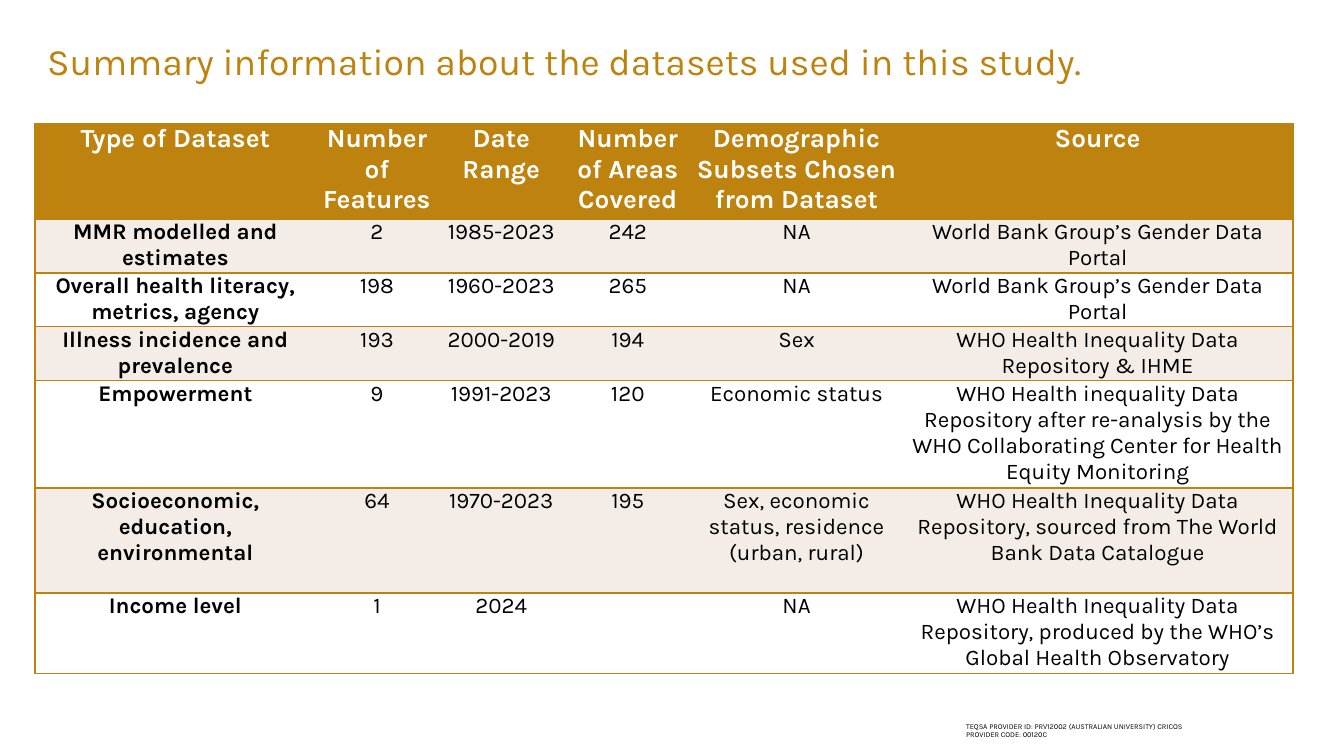
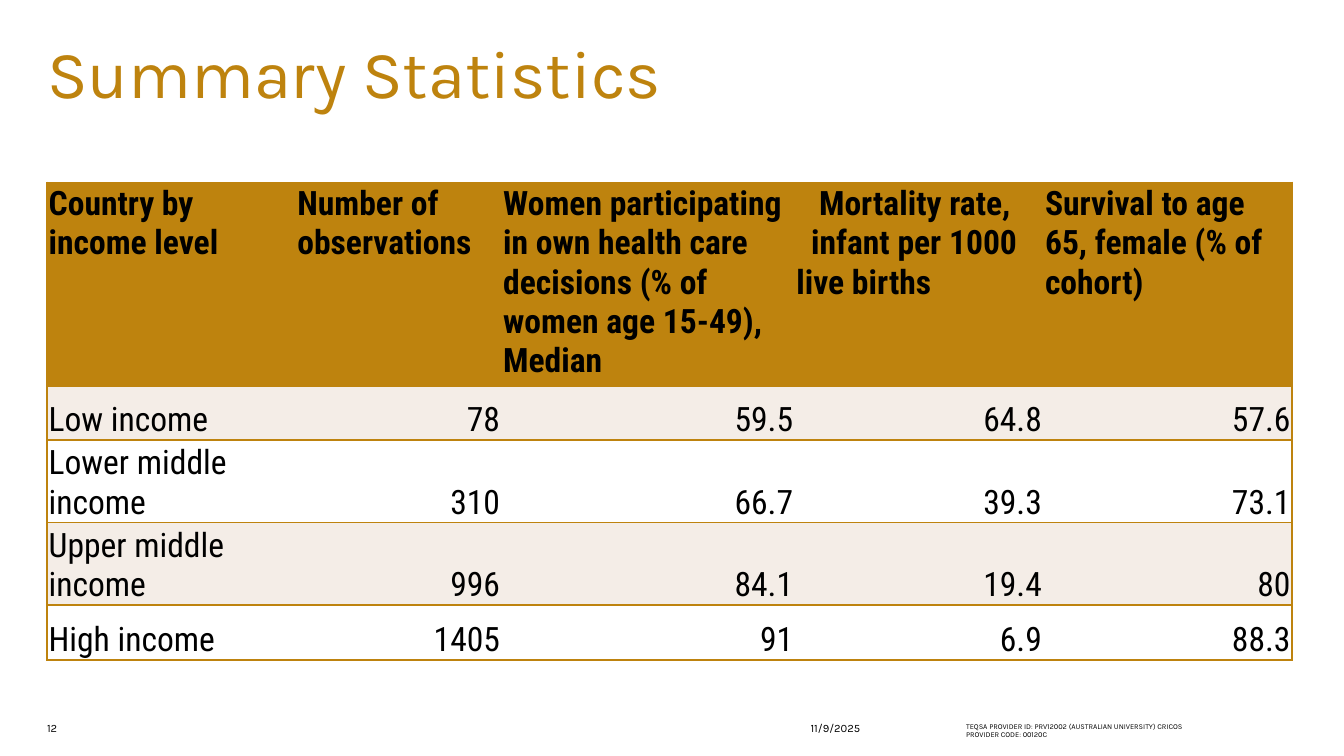
from lxml import etree
from pptx import Presentation
from pptx.dml.color import RGBColor
from pptx.enum.text import MSO_ANCHOR, PP_ALIGN
from pptx.oxml.ns import qn
from pptx.util import Cm, Pt

LEFT, CENTER, RIGHT = PP_ALIGN.LEFT, PP_ALIGN.CENTER, PP_ALIGN.RIGHT
TOP, BOTTOM = MSO_ANCHOR.TOP, MSO_ANCHOR.BOTTOM

GOLD = RGBColor(0xBE, 0x83, 0x0E)
CREAM = RGBColor(0xF4, 0xED, 0xE7)
WHITE = RGBColor(0xFF, 0xFF, 0xFF)
BLACK = RGBColor(0, 0, 0)

BRAND_FONT = "Karla"
DATA_FONT = "Roboto Condensed"
TITLE_ONLY = 5
MARGIN, FOOTER_TOP = 0.89, 13.64

# Content: a cell is a string, or a list of (first-line indent in cm, text)
PROVIDER = ("TEQSA PROVIDER ID: PRV12002 (AUSTRALIAN UNIVERSITY) "
            "CRICOS PROVIDER CODE: 00120C")

DATASETS = [
    ("Type of Dataset", "Number of Features", "Date Range",
     "Number of Areas Covered", "Demographic Subsets Chosen from Dataset",
     "Source"),
    ("MMR modelled and estimates", "2", "1985-2023", "242", "NA",
     "World Bank Group’s Gender Data Portal"),
    ("Overall health literacy, metrics, agency", "198", "1960-2023", "265",
     "NA", "World Bank Group’s Gender Data Portal"),
    ("Illness incidence and prevalence", "193", "2000-2019", "194", "Sex",
     "WHO Health Inequality Data Repository & IHME"),
    ("Empowerment", "9", "1991-2023", "120", "Economic status",
     "WHO Health inequality Data Repository after re-analysis by the WHO "
     "Collaborating Center for Health Equity Monitoring"),
    ("Socioeconomic, education, environmental", "64", "1970-2023", "195",
     "Sex, economic status, residence (urban, rural)",
     "WHO Health Inequality Data Repository, sourced from The World Bank "
     "Data Catalogue"),
    ("Income level", "1", "2024", "", "NA",
     "WHO Health Inequality Data Repository, produced by the WHO’s Global "
     "Health Observatory"),
]

STATISTICS = [
    ("Country by income level", "Number of observations",
     "Women participating in own health care decisions "
     "(% of women age 15-49), Median",
     [(0.43, "Mortality rate,"), (0.28, "infant per 1000 live births")],
     "Survival to age 65, female (% of cohort)"),
    ("Low income", "78", "59.5", "64.8", "57.6"),
    ("Lower middle income", "310", "66.7", "39.3", "73.1"),
    ("Upper middle income", "996", "84.1", "19.4", "80"),
    ("High income", "1405", "91", "6.9", "88.3"),
]

# Table layouts: lengths in cm; margins are left, top, right, bottom
DATASETS_LAYOUT = dict(
    left=0.66, top=2.34,
    widths=(5.31, 2.31, 2.39, 2.39, 3.99, 7.39),
    heights=(1.8, 0.99, 0.99, 0.99, 1.98, 1.98, 1.48),
    margins=(0.08, 0, 0.08, 0), font=BRAND_FONT,
    head_size=14, body_size=12, head_color=WHITE, bold_labels=True,
    head_align=CENTER, label_align=CENTER, value_align=CENTER,
    body_anchor=TOP)
STATISTICS_LAYOUT = dict(
    left=MARGIN, top=3.45,
    widths=(4.7, 3.89, 5.54, 4.7, 4.7),
    heights=(3.78, 1.03, 1.52, 1.52, 1.04),
    margins=(0.03, 0.03, 0.03, 0), font=DATA_FONT,
    head_size=18, body_size=18, head_color=BLACK, bold_labels=False,
    head_align=LEFT, label_align=LEFT, value_align=RIGHT,
    body_anchor=BOTTOM)


def add_span(para, text, font, size, color, bold=False):
    span = para.add_run()
    span.text = text
    span.font.name = font
    span.font.size = Pt(size)
    span.font.color.rgb = color
    span.font.bold = bold


def clear_margins(frame):
    frame.margin_left = frame.margin_top = 0
    frame.margin_right = frame.margin_bottom = 0
    frame.word_wrap = True


def add_note(page, text, left, width, size, space_before=0):
    """Small footer text."""
    box = page.shapes.add_textbox(Cm(left), Cm(FOOTER_TOP), Cm(width), Cm(0.38))
    clear_margins(box.text_frame)
    para = box.text_frame.paragraphs[0]
    para.space_before = Pt(space_before)
    add_span(para, text, BRAND_FONT, size, BLACK)


def add_page(deck, title, size):
    """Title-only page with the shared title style and provider footer."""
    page = deck.slides.add_slide(deck.slide_layouts[TITLE_ONLY])
    box = page.shapes.title
    box.left, box.top = Cm(MARGIN), Cm(MARGIN)
    box.width, box.height = Cm(23.55), Cm(1.12)
    frame = box.text_frame
    clear_margins(frame)
    frame.vertical_anchor = TOP
    para = frame.paragraphs[0]
    para.alignment = LEFT
    para.line_spacing = 0.8
    add_span(para, title, BRAND_FONT, size, GOLD)
    add_note(page, PROVIDER, 18.26, 4.32, 4, space_before=2)
    return page


def set_borders(cell, ruled_sides):
    """Gold rule on the given sides, no line on the others."""
    props = cell._tc.get_or_add_tcPr()
    for place, side in enumerate("LRTB"):
        line = etree.Element(qn(f"a:ln{side}"), w=str(Pt(1)))
        if side in ruled_sides:
            fill = etree.SubElement(line, qn("a:solidFill"))
            etree.SubElement(fill, qn("a:srgbClr"), val=str(GOLD))
        else:
            etree.SubElement(line, qn("a:noFill"))
        props.insert(place, line)


def fill_cell(cell, content, row, column, last_column, style):
    header, label = row == 0, column == 0
    cell.fill.solid()
    cell.fill.fore_color.rgb = GOLD if header else CREAM if row % 2 else WHITE
    set_borders(cell, "TB" + "L" * label + "R" * (column == last_column))
    (cell.margin_left, cell.margin_top,
     cell.margin_right, cell.margin_bottom) = map(Cm, style["margins"])
    cell.vertical_anchor = TOP if header else style["body_anchor"]

    part = "head" if header else "label" if label else "value"
    size = style["head_size" if header else "body_size"]
    color = style["head_color"] if header else BLACK
    bold = header or (label and style["bold_labels"])
    lines = [(0, content)] if isinstance(content, str) else content
    frame = cell.text_frame
    for number, (indent, text) in enumerate(lines):
        para = frame.add_paragraph() if number else frame.paragraphs[0]
        para.alignment = style[f"{part}_align"]
        if indent:
            para._p.get_or_add_pPr().set("indent", str(Cm(indent)))
        if text:
            add_span(para, text, style["font"], size, color, bold)
        else:
            para.font.size = Pt(size)


def add_data_table(page, rows, style):
    widths, heights = style["widths"], style["heights"]
    table = page.shapes.add_table(
        len(rows), len(widths), Cm(style["left"]), Cm(style["top"]),
        Cm(sum(widths)), Cm(sum(heights))).table
    for column, width in zip(table.columns, widths):
        column.width = Cm(width)
    for row, height in zip(table.rows, heights):
        row.height = Cm(height)
    for r, contents in enumerate(rows):
        for c, content in enumerate(contents):
            fill_cell(table.cell(r, c), content, r, c, len(widths) - 1, style)


def main():
    deck = Presentation()
    deck.slide_width, deck.slide_height = Cm(25.4), Cm(14.29)

    # Datasets
    page = add_page(
        deck, "Summary information about the datasets used in this study.", 20)
    add_data_table(page, DATASETS, DATASETS_LAYOUT)

    # Statistics, with page number and date
    page = add_page(deck, "Summary Statistics", 36)
    add_note(page, "12", MARGIN, 1.07, 6)
    add_note(page, "11/9/2025", 15.32, 2.51, 6)
    add_data_table(page, STATISTICS, STATISTICS_LAYOUT)

    deck.save("out.pptx")


if __name__ == "__main__":
    main()
